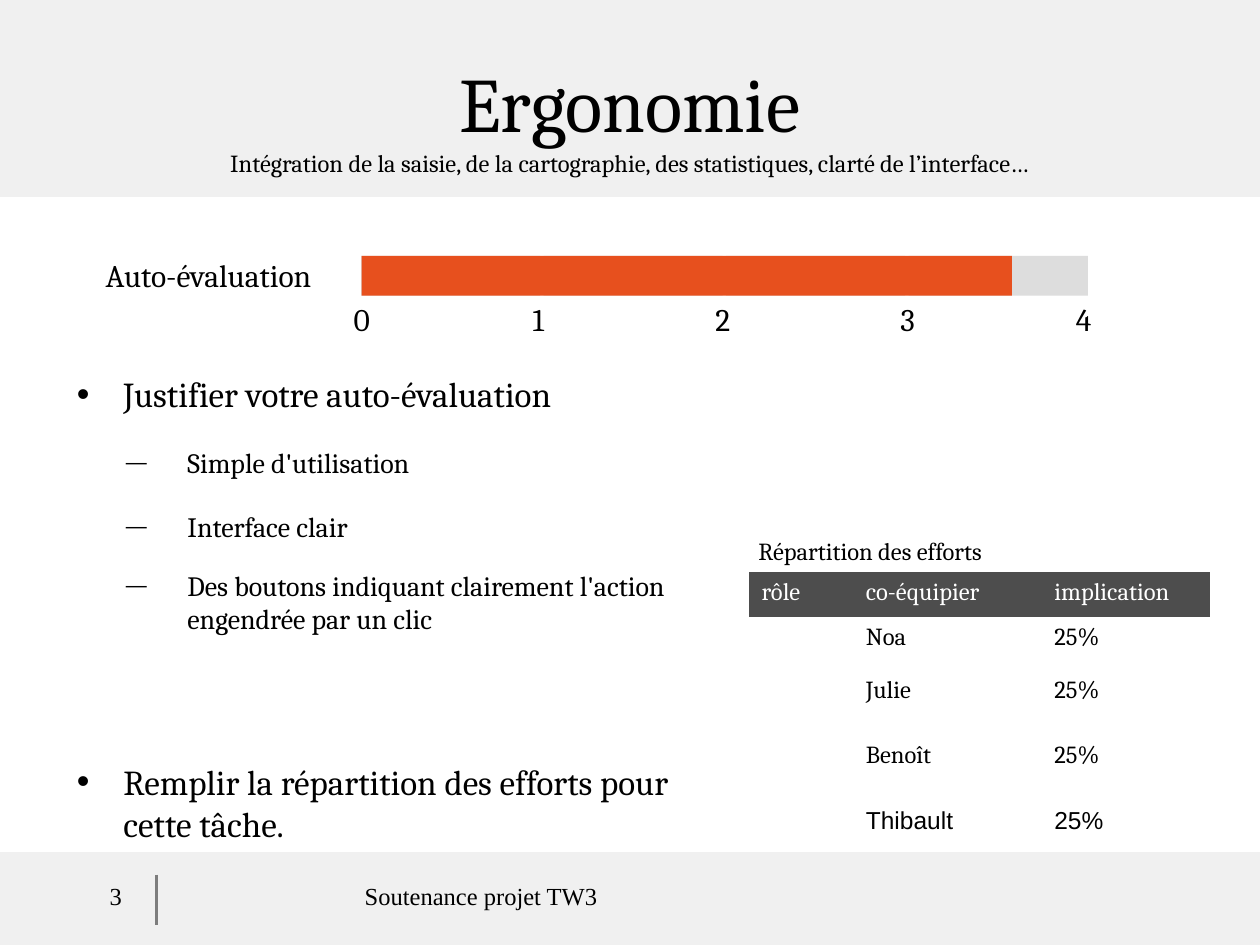
from lxml.etree import SubElement
from pptx import Presentation
from pptx.dml.color import RGBColor
from pptx.enum.shapes import MSO_CONNECTOR as Connector, MSO_SHAPE as Shape
from pptx.enum.text import MSO_ANCHOR as Anchor, PP_ALIGN as Align
from pptx.oxml.ns import qn
from pptx.util import Cm, Pt

BLACK = RGBColor(0x00, 0x00, 0x00)
WHITE = RGBColor(0xFF, 0xFF, 0xFF)
BAND = RGBColor(0xF0, 0xF0, 0xF0)
RULE = RGBColor(0x7D, 0x7D, 0x7D)
TRACK = RGBColor(0xDD, 0xDD, 0xDD)
SCORE = RGBColor(0xE7, 0x50, 0x1E)
HEADER = RGBColor(0x4D, 0x4D, 0x4D)

SERIF, FOOTER_FONT, SANS = "Cambria", "Times New Roman", "Arial"
NO_STYLE_NO_GRID = "{2D5ABB26-0587-4C30-8999-92F81FD0307C}"


class SlideBuilder:
    """Holds the text style and the current page; lengths are in cm."""

    def __init__(self, page, font=SERIF, color=BLACK):
        self.page, self.font, self.color = page, font, color

    def style(self, paragraph, size, font=None, color=None):
        paragraph.font.size = Pt(size)
        paragraph.font.name = font or self.font
        paragraph.font.color.rgb = self.color if color is None else color

    def rect(self, left, top, width, height, color, outline=0):
        box = self.page.shapes.add_shape(
            Shape.RECTANGLE, Cm(left), Cm(top), Cm(width), Cm(height))
        box.shadow.inherit = False
        box.fill.solid()
        box.fill.fore_color.rgb = color
        if outline:
            box.line.color.rgb = color
            box.line.width = Pt(outline)
        else:
            box.line.fill.background()

    def vertical_line(self, left, top, bottom, color, width):
        line = self.page.shapes.add_connector(
            Connector.STRAIGHT, Cm(left), Cm(top), Cm(left), Cm(bottom))
        line.line.color.rgb = color
        line.line.width = Pt(width)
        SubElement(line._element.spPr, qn("a:effectLst"))

    def frame(self, left, top, width, height):
        box = self.page.shapes.add_textbox(
            Cm(left), Cm(top), Cm(width), Cm(height))
        box.text_frame.word_wrap = True
        return box.text_frame

    def block(self, left, top, width, height):
        """A middle-anchored frame without top and bottom insets."""
        frame = self.frame(left, top, width, height)
        frame.vertical_anchor = Anchor.MIDDLE
        frame.margin_top = frame.margin_bottom = Cm(0)
        return frame

    def label(self, text, left, top, width, height, size, font=None,
              align=Align.LEFT):
        para = self.frame(left, top, width, height).paragraphs[0]
        para.text = text
        para.alignment = align
        self.style(para, size, font)

    def title(self, heading, subtitle, *place):
        para = self.block(*place).paragraphs[0]
        para.alignment = Align.CENTER
        para.space_before = Pt(10.6)
        self.style(para, 44)
        para.add_run().text = heading
        para.add_line_break()
        span = para.add_run()
        span.text = subtitle
        span.font.size = Pt(14)

    def bullets(self, items, *place):
        """Each item is (text, level, space before, space after)."""
        frame = self.block(*place)
        for index, (text, level, before, after) in enumerate(items):
            para = frame.paragraphs[0] if index == 0 else frame.add_paragraph()
            para.text = text
            para.level = level
            para.space_before, para.space_after = Pt(before), Pt(after)
            size, mark, scale, margin, indent = (
                (16, "—", 75, 2.26, -1.24) if level
                else (20, "•", 103, 0.97, -0.94))
            self.style(para, size)
            props = para._p.get_or_add_pPr()
            props.set("marL", str(Cm(margin)))
            props.set("indent", str(Cm(indent)))
            # Bullet elements come before the default run properties
            defaults = props.find(qn("a:defRPr"))
            props.remove(defaults)
            SubElement(props, qn("a:buSzPct"), val=str(scale * 1000))
            SubElement(props, qn("a:buFont"), typeface=SANS)
            SubElement(props, qn("a:buChar"), char=mark)
            props.append(defaults)

    def table(self, rows, left, top, widths, heights):
        table = self.page.shapes.add_table(
            len(rows), len(widths), Cm(left), Cm(top),
            Cm(sum(widths)), Cm(sum(heights))).table
        table.first_row = table.horz_banding = False
        table._tbl.tblPr.find(qn("a:tableStyleId")).text = NO_STYLE_NO_GRID
        for column, width in zip(table.columns, widths):
            column.width = Cm(width)
        for row, height in zip(table.rows, heights):
            row.height = Cm(height)
        for r, texts in enumerate(rows):
            font = SANS if r == len(rows) - 1 else SERIF
            for c, text in enumerate(texts):
                cell = table.cell(r, c)
                cell.text = text
                self.style(cell.text_frame.paragraphs[0], 14, font,
                           BLACK if r else WHITE)
                if r:
                    cell.fill.background()
                else:
                    cell.fill.solid()
                    cell.fill.fore_color.rgb = HEADER


def main():
    deck = Presentation()
    deck.slide_width, deck.slide_height = Cm(25.4), Cm(19.05)
    build = SlideBuilder(deck.slides.add_slide(deck.slide_layouts[6]))

    # Header and footer bands
    build.rect(0, 17.22, 25.4, 1.83, BAND, outline=2)
    build.vertical_line(3.15, 17.63, 18.64, RULE, 1.5)
    build.rect(0, 0, 25.4, 3.94, BAND, outline=2)

    # Self-assessment gauge
    build.label("Auto-évaluation", 1.88, 5.04, 5.79, 1.02, 18)
    for step in range(4):
        build.rect(7.28 + 3.68 * step, 5.16, 3.61, 0.8, TRACK)
    for mark, left in enumerate((6.88, 10.49, 14.17, 17.9, 21.44)):
        build.label(str(mark), left, 5.92, 0.79, 1.02, 18)

    # Justification
    build.bullets([
        ("Justifier votre auto-évaluation", 0, 24, 14.2),
        ("Simple d'utilisation", 1, 3.2, 14.2),
        ("Interface clair", 1, 3.2, 11.3),
        ("Des boutons indiquant clairement l'action engendrée par un clic",
         1, 3.2, 11.3),
        ("Remplir la répartition des efforts pour cette tâche.", 0, 60, 14.2),
    ], 1.27, 7.52, 13.44, 9.5)

    # Title and score
    build.title(
        "Ergonomie",
        "Intégration de la saisie, de la cartographie, des statistiques, "
        "clarté de l’interface…", 1.27, 0.76, 22.86, 3.18)
    build.rect(7.29, 5.16, 13.11, 0.8, SCORE)

    # Footer texts
    build.label("Soutenance projet TW3", 3.5, 17.63, 12.4, 1.02, 14,
                FOOTER_FONT, Align.CENTER)
    build.label("3", 0.5, 17.63, 2.21, 1.02, 14, FOOTER_FONT, Align.RIGHT)

    # Share of the work
    build.label("Répartition des efforts", 15.04, 10.68, 5.3, 0.84, 14)
    team = ("Noa", "Julie", "Benoît", "Thibault")
    build.table(
        [("rôle", "co-équipier", "implication")]
        + [("", name, "25%") for name in team],
        15.1, 11.53, (2.1, 3.8, 3.39), (0.91, 1.06, 1.32, 1.32, 1.32))

    deck.save("out.pptx")


if __name__ == "__main__":
    main()
